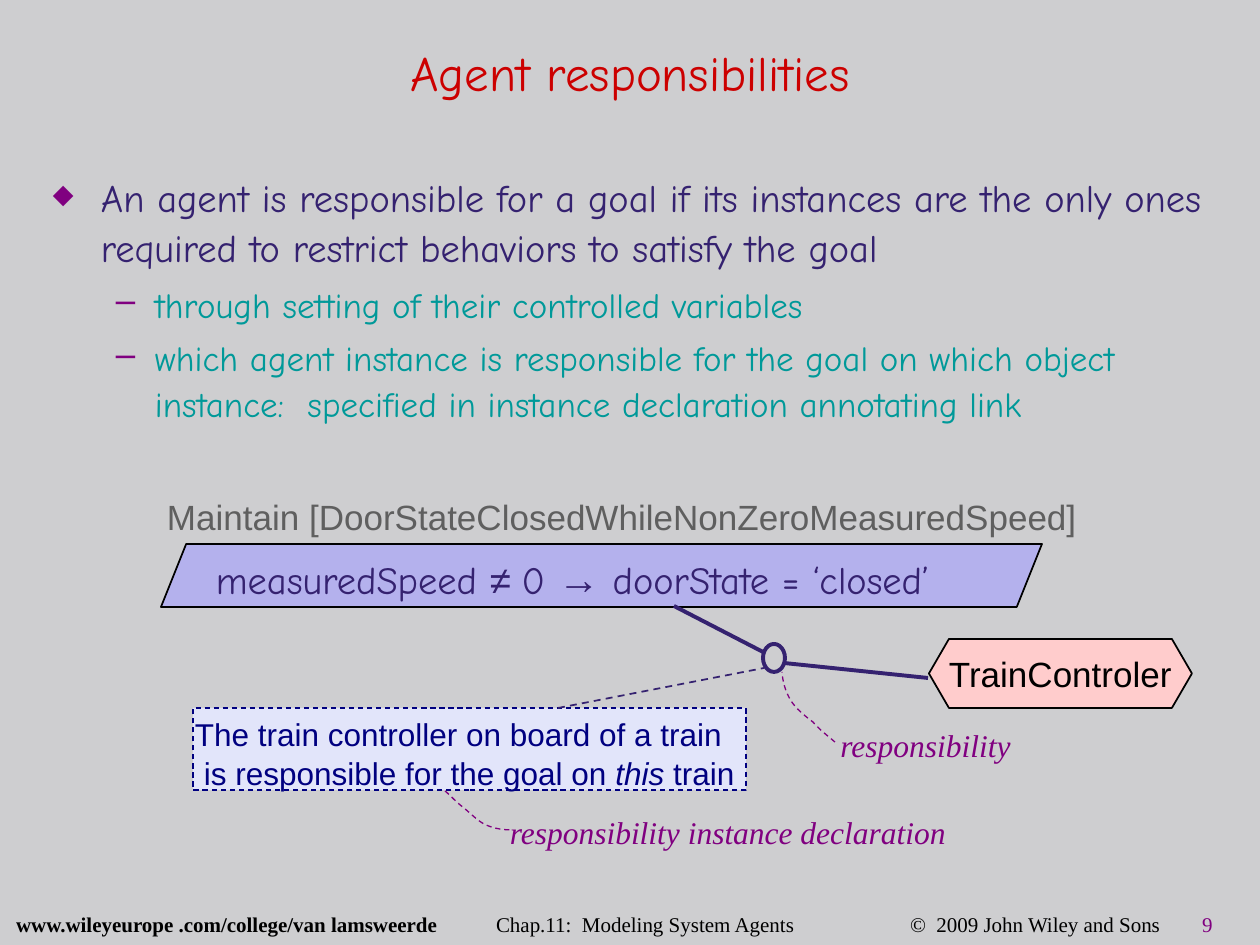
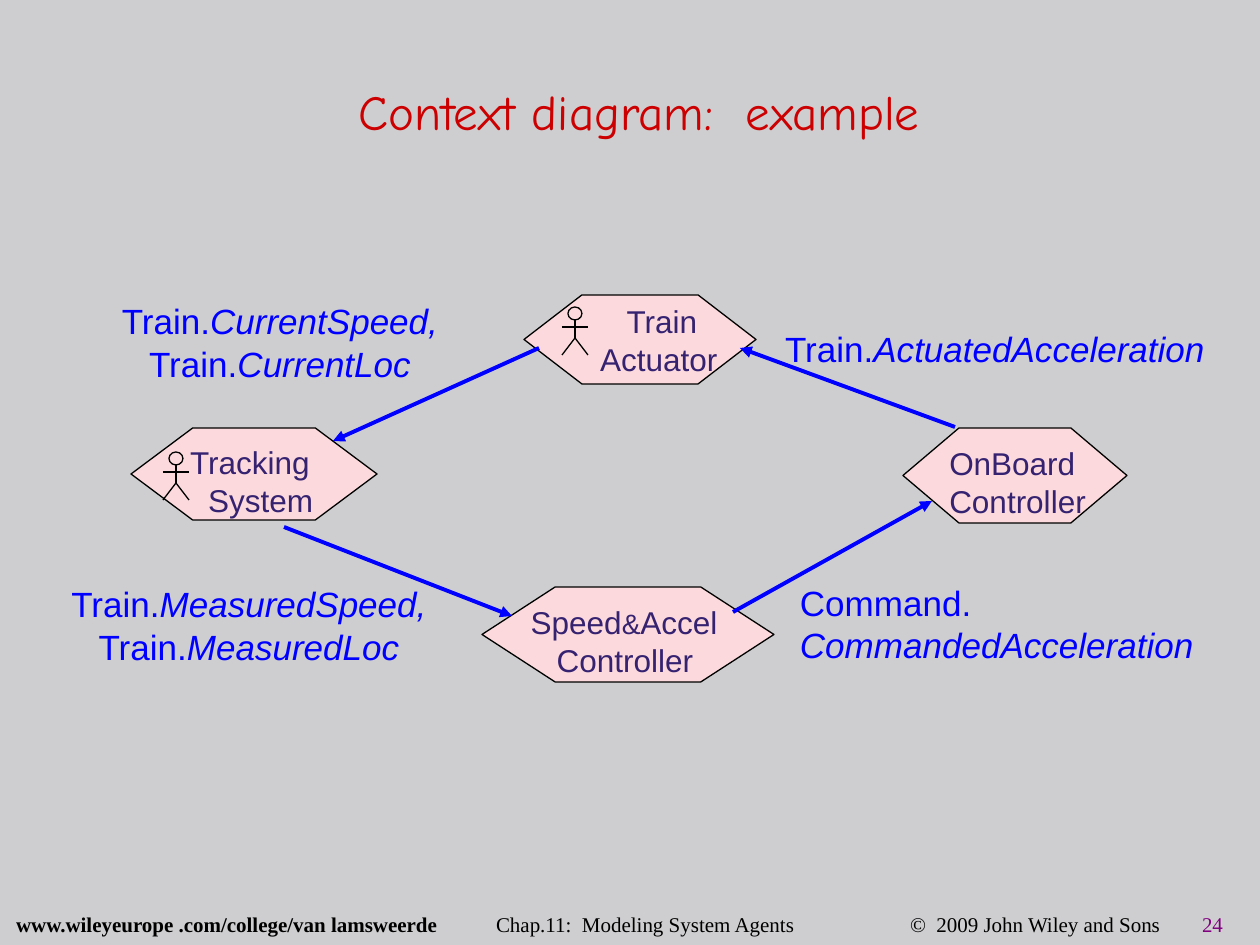
from lxml import etree
from pptx import Presentation, util as u
from pptx.dml.color import RGBColor
from pptx.enum import dml, shapes, text
from pptx.oxml.ns import qn

SCALE = 914400 / 126
WIDTH, HEIGHT = 1260, 945
COLORS = {
    "ground": "CECED0", "title": "CC0000", "ink": "352270", "sub": "009999",
    "purple": "800080", "black": "000000", "gray": "5F5F5F", "navy": "000080",
    "flow": "0000FF", "goal": "B4B1ED", "agent": "FFCCCC", "actor": "FBD9DC",
    "note": "E2E5FA",
}
COMIC, SANS, SERIF = "Comic Neue", "Arial", "Times New Roman"
STYLES = {
    "title": (COMIC, 28, "title", {}),
    "body": (COMIC, 22, "ink", {}),
    "sub": (COMIC, 20, "sub", {}),
    "symbol": (SANS, 22, "ink", {}),
    "arrow": (SANS, 24, "ink", {}),
    "goal_name": (SANS, 20, "gray", {}),
    "agent": (SANS, 20, "black", {}),
    "note": (SANS, 18, "navy", {}),
    "note_em": (SANS, 18, "navy", {"italic": True}),
    "caption": (SERIF, 18, "purple", {"italic": True}),
    "flow": (SANS, 20, "flow", {}),
    "flow_em": (SANS, 20, "flow", {"italic": True}),
    "actor": (SANS, 18, "ink", {}),
    "actor_small": (SANS, 16, "ink", {}),
    "site": (SERIF, 12, "black", {"bold": True}),
    "footer": (SERIF, 12, "black", {}),
    "number": (SERIF, 12, "purple", {}),
}
LEFT, CENTER, RIGHT, JUSTIFY = (
    text.PP_ALIGN.LEFT, text.PP_ALIGN.CENTER, text.PP_ALIGN.RIGHT, text.PP_ALIGN.JUSTIFY)
MIDDLE = text.MSO_ANCHOR.MIDDLE
FOOTER_TABS = (480, 894, 1186)

DIAMOND = {"char": "◆", "size": 70, "margin": 48, "hang": -48}
DASH = {"char": "–", "size": 100, "margin": 102, "hang": -39}
BODY = [
    ([("An agent is responsible for a goal if its instances are the only ones "
       "required to restrict behaviors to satisfy the goal", "body")],
     {"bullet": DIAMOND, "line_spacing": 1.1}),
    ([("through setting of their controlled variables", "sub")],
     {"bullet": DASH, "line_spacing": 1.1, "space_before": u.Pt(5)}),
    ([("which agent instance is responsible for the goal on which object "
       "instance:  specified in instance declaration annotating link", "sub")],
     {"bullet": DASH, "line_spacing": 1.1, "space_before": u.Pt(4)}),
]
GOAL = [("measuredSpeed ", "body"), ("≠ ", "symbol"), ("0 ", "body"), ("→", "arrow"),
        (" doorState = ‘closed’", "body")]
NOTE = [
    ([("The train controller on board of a train", "note")], {"alignment": JUSTIFY}),
    ([("is responsible for the goal on ", "note"), ("this", "note_em"), (" train", "note")],
     {"alignment": JUSTIFY, "indent": 9, "line_spacing": 0.9, "space_before": u.Pt(3)}),
]
CAPTIONS = [("responsibility", (823, 726, 205, 38)),
            ("responsibility instance declaration", (494, 813, 468, 38))]
CURVES = [
    [(835, 742), (828, 736), (820, 730), (813, 722), (805, 716), (795, 708), (790, 699),
     (785, 690), (783, 682), (782, 672)],
    [(445, 791), (451, 796), (457, 803), (464, 808), (471, 814), (479, 822), (486, 825),
     (495, 829), (504, 830), (513, 830)],
]
LINKS = [((674, 606), (765, 653), 2.25, False), ((784, 663), (928, 678), 2.25, False),
         ((558, 708), (764, 668), 1, True)]

ACTORS = [
    ((524, 295, 232, 89), 0.65, [
        ([("Train", "actor")], {"alignment": CENTER, "indent": 44, "line_spacing": 0.8}),
        ([("Actuator", "actor")], {"alignment": RIGHT})]),
    ((131, 428, 246, 92), 0.67, [
        ([("Tracking", "actor")], {"indent": 18}),
        ([("System", "actor")], {"indent": 36})]),
    ((482, 587, 292, 95), 0.77, [
        ([("Speed", "actor"), ("&", "actor_small"), ("Accel", "actor")], {}),
        ([("Controller", "actor")], {"indent": 26})]),
    ((903, 428, 224, 95), 0.59, [
        ([("OnBoard", "actor")], {"indent": 9}),
        ([("Controller", "actor")], {"indent": 9})]),
]
FLOWS = [((539, 348), (333, 441)), ((284, 527), (512, 616)),
         ((733, 612), (932, 501)), ((955, 427), (740, 348))]
FLOW_LABELS = [
    ((107, 300, 346), CENTER, [("Train.", "CurrentSpeed,"), ("Train.", "CurrentLoc")]),
    ((69, 583, 360), CENTER, [("Train.", "MeasuredSpeed,"), ("Train.", "MeasuredLoc")]),
    ((785, 327, 460), LEFT, [("Train.", "ActuatedAcceleration")]),
    ((800, 582, 430), LEFT, [("Command.", ""), ("", "CommandedAcceleration")]),
]
PEOPLE = [(575, 307), (176, 452)]
LIMBS = [((0, 13), (0, 31)), ((0, 31), (-13, 48)), ((0, 31), (13, 48)), ((-13, 20), (13, 20))]


def px(value):
    return round(value * SCALE)


def rgb(name):
    return RGBColor.from_string(COLORS[name])


def apply(target, values):
    for name, value in values.items():
        setattr(target, name, value)


def add_bullet(props, bullet):
    props.set("marL", str(px(bullet["margin"])))
    props.set("indent", str(px(bullet["hang"])))
    color = etree.SubElement(props, qn("a:buClr"))
    etree.SubElement(color, qn("a:srgbClr"), val=COLORS["purple"])
    etree.SubElement(props, qn("a:buSzPct"), val=str(bullet["size"] * 1000))
    etree.SubElement(props, qn("a:buChar"), char=bullet["char"])


def add_tabs(props, stops):
    tabs = etree.SubElement(props, qn("a:tabLst"))
    for stop in stops:
        etree.SubElement(tabs, qn("a:tab"), pos=str(px(stop)), algn="l")


def write(shape, paras, anchor=text.MSO_ANCHOR.TOP, wrap=True, inset=(0, 0)):
    frame = shape.text_frame
    apply(frame, {"word_wrap": wrap, "vertical_anchor": anchor,
                  "margin_left": px(inset[0]), "margin_top": px(inset[1]),
                  "margin_right": px(inset[0]), "margin_bottom": 0})
    for index, (spans, layout) in enumerate(paras):
        para = frame.add_paragraph() if index else frame.paragraphs[0]
        layout = {"alignment": LEFT, **layout}
        props = para._p.get_or_add_pPr()
        if "bullet" in layout:
            add_bullet(props, layout.pop("bullet"))
        if "tabs" in layout:
            add_tabs(props, layout.pop("tabs"))
        if "indent" in layout:
            props.set("marL", str(px(layout.pop("indent"))))
        apply(para, layout)
        for words, style in spans:
            span = para.add_run()
            span.text = words
            font, size, color, extras = STYLES[style]
            apply(span.font, {"name": font, "size": u.Pt(size), **extras})
            span.font.color.rgb = rgb(color)


def add_text(page, area, paras, **options):
    box = page.shapes.add_textbox(*map(px, area))
    write(box, paras, **options)


def stroke(shape, color, width, dashed=False):
    shape.line.color.rgb = rgb(color)
    shape.line.width = u.Pt(width)
    if dashed:
        shape.line.dash_style = dml.MSO_LINE.DASH


def add_shape(page, kind, area, fill, color, width, adjust=None, dashed=False):
    shape = page.shapes.add_shape(kind, *map(px, area))
    shape.shadow.inherit = False
    if fill:
        shape.fill.solid()
        shape.fill.fore_color.rgb = rgb(fill)
    else:
        shape.fill.background()
    stroke(shape, color, width, dashed)
    if adjust is not None:
        shape.adjustments[0] = adjust
    return shape


def add_line(page, start, end, color, width, dashed=False, arrow=False):
    line = page.shapes.add_connector(shapes.MSO_CONNECTOR.STRAIGHT, *map(px, start + end))
    stroke(line, color, width, dashed)
    if arrow:
        etree.SubElement(line.line._get_or_add_ln(), qn("a:tailEnd"), type="triangle")
    etree.SubElement(line._element.spPr, qn("a:effectLst"))


def curve_points(points, steps=8):
    for first in range(0, len(points) - 1, 3):
        a, b, c, d = points[first:first + 4]
        for step in range(1, steps + 1):
            t = step / steps
            s = 1 - t
            yield tuple(s**3 * a[i] + 3 * s * s * t * b[i] + 3 * s * t * t * c[i] + t**3 * d[i]
                        for i in (0, 1))


def add_curve(page, points):
    builder = page.shapes.build_freeform(*map(px, points[0]), scale=1)
    builder.add_line_segments([tuple(map(px, point)) for point in curve_points(points)], close=False)
    curve = builder.convert_to_shape()
    curve.shadow.inherit = False
    curve.fill.background()
    stroke(curve, "purple", 0.75, True)


def add_page(deck, title, title_area, number):
    page = deck.slides.add_slide(deck.slide_layouts[6])
    footer = [("www.wileyeurope .com/college/van lamsweerde", "site"),
              ("\tChap.11:  Modeling System Agents", "footer"),
              ("\t©  2009 John Wiley and Sons", "footer"), (f"\t{number}", "number")]
    add_text(page, (16, 911, 1240, 30), [(footer, {"tabs": FOOTER_TABS})])
    add_text(page, title_area, [([(title, "title")], {"alignment": CENTER})], anchor=MIDDLE)
    return page


def build_responsibilities(deck):
    page = add_page(deck, "Agent responsibilities", (97, 19, 1066, 105), 9)
    add_text(page, (53, 129, 1183, 336), BODY, anchor=MIDDLE)
    add_text(page, (167, 485, 960, 63),
             [([("Maintain [DoorStateClosedWhileNonZeroMeasuredSpeed]", "goal_name")], {})],
             anchor=MIDDLE)
    add_shape(page, shapes.MSO_SHAPE.PARALLELOGRAM, (161, 544, 881, 63), "goal", "black", 1, 0.4)
    add_text(page, (216, 546, 780, 63), [(GOAL, {})], anchor=MIDDLE)
    agent = add_shape(page, shapes.MSO_SHAPE.HEXAGON, (929, 639, 263, 69), "agent", "black", 1, 0.29)
    write(agent, [([("TrainControler", "agent")], {"alignment": CENTER})], anchor=MIDDLE, wrap=False)
    add_shape(page, shapes.MSO_SHAPE.OVAL, (763, 644, 22, 28), None, "ink", 2.25)
    note = add_shape(page, shapes.MSO_SHAPE.RECTANGLE, (193, 708, 553, 82), "note", "navy", 0.75,
                     dashed=True)
    write(note, NOTE, inset=(2, 7))
    for start, end, width, dashed in LINKS:
        add_line(page, start, end, "ink", width, dashed)
    for points in CURVES:
        add_curve(page, points)
    for words, area in CAPTIONS:
        add_text(page, area, [([(words, "caption")], {"alignment": CENTER})])


def add_person(page, x, y):
    add_shape(page, shapes.MSO_SHAPE.OVAL, (x - 7, y, 14, 13), None, "black", 0.75)
    for start, end in LIMBS:
        add_line(page, (x + start[0], y + start[1]), (x + end[0], y + end[1]), "black", 0.75)


def build_context(deck):
    page = add_page(deck, "Context diagram:  example", (43, 58, 1192, 105), 24)
    for area, adjust, paras in ACTORS:
        actor = add_shape(page, shapes.MSO_SHAPE.HEXAGON, area, "actor", "black", 0.75, adjust)
        write(actor, paras)
    for start, end in FLOWS:
        add_line(page, start, end, "flow", 2.25, arrow=True)
    for (left, top, width), alignment, lines in FLOW_LABELS:
        paras = [([(words, style) for words, style in zip(line, ("flow", "flow_em")) if words],
                  {"alignment": alignment}) for line in lines]
        add_text(page, (left, top, width, 42 * len(lines)), paras)
    for x, y in PEOPLE:
        add_person(page, x, y)


def main():
    deck = Presentation()
    deck.slide_width, deck.slide_height = px(WIDTH), px(HEIGHT)
    ground = deck.slide_master.background.fill
    ground.solid()
    ground.fore_color.rgb = rgb("ground")
    build_responsibilities(deck)
    build_context(deck)
    deck.save("out.pptx")


if __name__ == "__main__":
    main()
